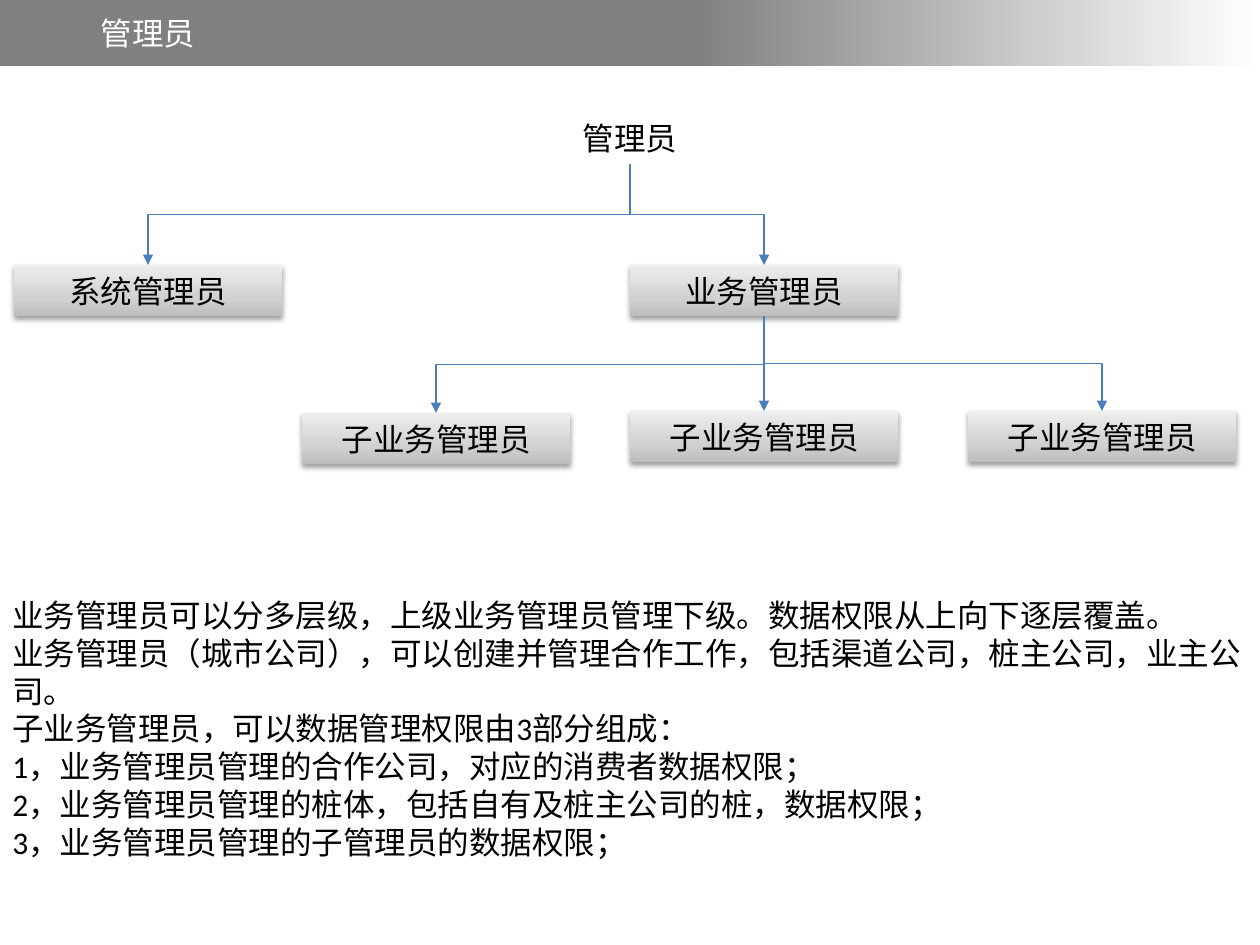
import pptx
import pptx.dml.color
import pptx.enum.shapes
import pptx.enum.text
import pptx.oxml
import pptx.oxml.ns
import pptx.util

PX = 914400 / 126
NS = pptx.oxml.ns.nsdecls("a")
qn = pptx.oxml.ns.qn
SHAPE = pptx.enum.shapes.MSO_SHAPE
CONNECTOR = pptx.enum.shapes.MSO_CONNECTOR
ALIGN = pptx.enum.text.PP_ALIGN
BOX_W, BOX_H = 268, 51
GREYS = [(0, "BDBDBD"), (35, "D1D1D1"), (100, "EEEEEE")]
NOTES = [
    "业务管理员可以分多层级，上级业务管理员管理下级。数据权限从上向下逐层覆盖。",
    "业务管理员（城市公司），可以创建并管理合作工作，包括渠道公司，桩主公司，业主公司。",
    "子业务管理员，可以数据管理权限由3部分组成：",
    "1，业务管理员管理的合作公司，对应的消费者数据权限；",
    "2，业务管理员管理的桩体，包括自有及桩主公司的桩，数据权限；",
    "3，业务管理员管理的子管理员的数据权限；",
]


def emu(*lengths):
    return [pptx.util.Emu(round(n * PX)) for n in lengths]


def color(value):
    return pptx.dml.color.RGBColor.from_string(value)


def add_text(sp, lines, align, fill="000000", wrap=True):
    tf = sp.text_frame
    tf.word_wrap = wrap
    tf.auto_size = pptx.enum.text.MSO_AUTO_SIZE.SHAPE_TO_FIT_TEXT
    for i, line in enumerate(lines):
        p = tf.add_paragraph() if i else tf.paragraphs[0]
        p.alignment = align
        r = p.add_run()
        r.text = line
        r.font.name = "Calibri"
        r.font.size = pptx.util.Pt(18)
        r.font.color.rgb = color(fill)
    return tf


def add_gradient_box(s, box, stops, angle):
    sp = s.shapes.add_shape(SHAPE.RECTANGLE, *emu(*box))
    sp.shadow.inherit = False
    sp.line.fill.background()
    sp.fill.gradient()
    sp.fill.gradient_angle = angle
    stop_list = sp.element.spPr.find(".//" + qn("a:gsLst"))
    stop_list.clear()
    for pos, value in stops:
        stop_list.append(pptx.oxml.parse_xml(
            f'<a:gs {NS} pos="{pos * 1000}"><a:srgbClr val="{value}"/></a:gs>'))
    return sp


def add_node(s, x, y, text):
    sp = add_gradient_box(s, (x, y, BOX_W, BOX_H), GREYS, 90)
    sp.element.spPr.find(qn("a:effectLst")).append(pptx.oxml.parse_xml(
        f'<a:outerShdw {NS} blurRad="40000" dist="20000" dir="5400000" rotWithShape="0">'
        '<a:srgbClr val="000000"><a:alpha val="38000"/></a:srgbClr></a:outerShdw>'))
    add_text(sp, [text], ALIGN.CENTER)
    return sp


def add_link(s, parent, child):
    x1, y1 = parent.left + parent.width // 2, parent.top + parent.height
    x2, y2 = child.left + child.width // 2, child.top
    dx, dy = x2 - x1, y2 - y1
    kind = CONNECTOR.ELBOW if dx else CONNECTOR.STRAIGHT
    c = s.shapes.add_connector(kind, x1, y1, x2, y2)
    c.begin_connect(parent, 2)
    c.end_connect(child, 0)
    spPr = c.element.spPr
    if dx:
        c.width, c.height = dy, abs(dx)
        c.left = (x1 + x2 - dy) // 2
        c.top = (y1 + y2 - abs(dx)) // 2
        xfrm = spPr.find(qn("a:xfrm"))
        xfrm.set("rot", "5400000" if dx < 0 else "16200000")
        xfrm.set("flipH", "0" if dx < 0 else "1")
    c.line.color.rgb = color("4B7EBC")
    c.line.width = pptx.util.Pt(0.75)
    spPr.find(qn("a:ln")).append(pptx.oxml.parse_xml(f'<a:tailEnd {NS} type="triangle"/>'))
    spPr.append(pptx.oxml.parse_xml(f"<a:effectLst {NS}/>"))


def add_header(s, x, y, w, h):
    bar = add_gradient_box(s, (x, y, w, h), [(55, "808080"), (100, "FFFFFF")], 0)
    title = s.shapes.title
    title.element.addprevious(bar.element)
    title.left, title.top, title.width, title.height = emu(x + 88, y + 8, 158, 51)
    tf = add_text(title, ["管理员"], ALIGN.LEFT, "FFFFFF", False)
    tf.vertical_anchor = pptx.enum.text.MSO_ANCHOR.TOP


def add_tree(s, x, y):
    root = s.shapes.add_textbox(*emu(x + 482, y, BOX_W, BOX_H))
    add_text(root, ["管理员"], ALIGN.CENTER)
    system = add_node(s, x, y + 152, "系统管理员")
    business = add_node(s, x + 616, y + 152, "业务管理员")
    links = [(root, system), (root, business)]
    for dx, dy in [(616, 298), (288, 300), (954, 298)]:
        links.append((business, add_node(s, x + dx, y + dy, "子业务管理员")))
    for parent, child in links:
        add_link(s, parent, child)


def add_notes_text(s, x, y, w, h):
    sp = s.shapes.add_textbox(*emu(x, y, w, h))
    tf = add_text(sp, NOTES, ALIGN.LEFT)
    tf.paragraphs[0].line_spacing = 2.0


def main():
    prs = pptx.Presentation()
    prs.slide_width, prs.slide_height = emu(1260, 945)
    s = prs.slides.add_slide(prs.slide_layouts[5])
    add_header(s, 0, 0, 1260, 66)
    add_tree(s, 14, 113)
    add_notes_text(s, 0, 552, 1260, 317)
    prs.save("out.pptx")


if __name__ == "__main__":
    main()
